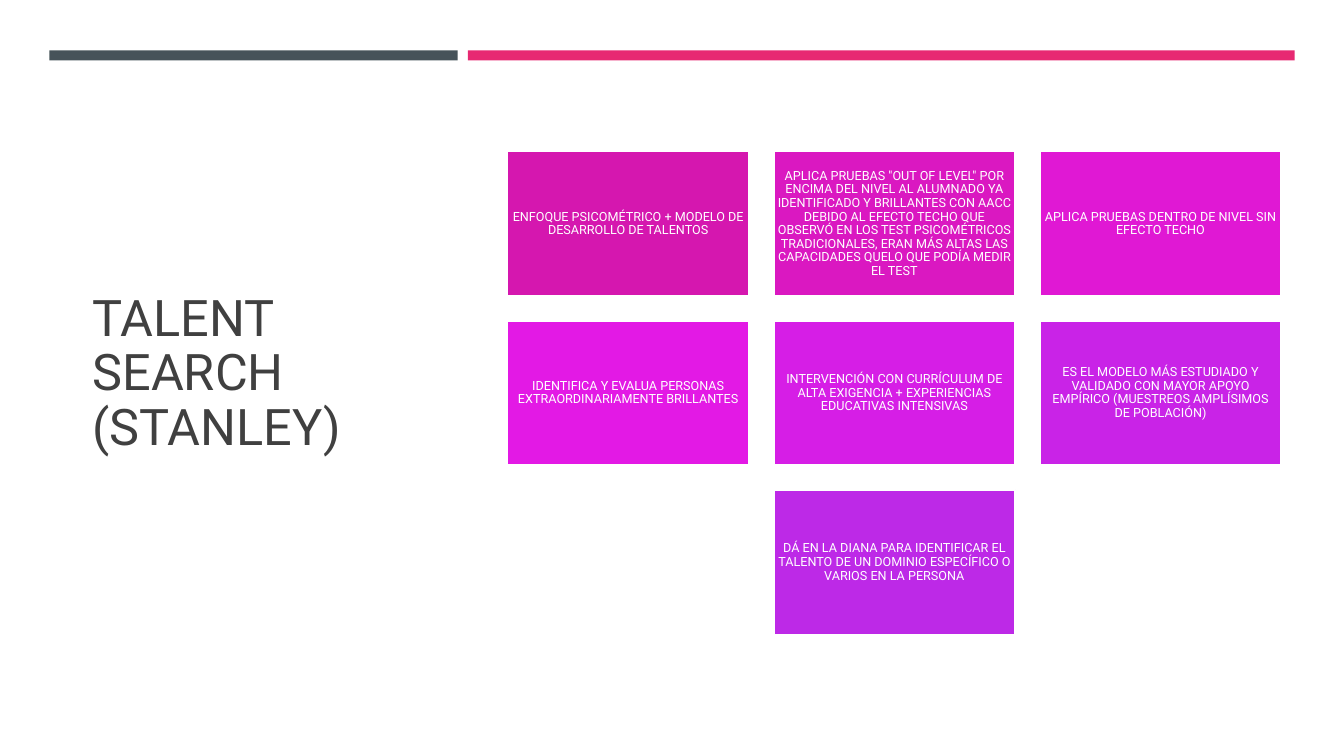
"""Build the Talent Search (Stanley) slide with its grid of key ideas."""
from dataclasses import dataclass

from pptx import Presentation
from pptx import util as u
from pptx.dml.color import RGBColor
from pptx.enum import shapes, text

SLIDE_WIDTH, SLIDE_HEIGHT = 13.33, 7.5
GRID_LEFT, GRID_TOP = 5.03, 1.5
CARD_WIDTH, CARD_HEIGHT = 2.4, 1.44
GAP = 0.24
COLUMN_STEP, ROW_STEP = CARD_WIDTH + GAP, CARD_HEIGHT + GAP
FONT = "Roboto"

WHITE = RGBColor(0xFF, 0xFF, 0xFF)
CHARCOAL = RGBColor(0x40, 0x40, 0x40)
SLATE = RGBColor(0x46, 0x53, 0x59)
PINK = RGBColor(0xE7, 0x29, 0x72)
MAGENTA = RGBColor(0xD5, 0x17, 0xAF)
FUCHSIA = RGBColor(0xDA, 0x18, 0xC1)
ORCHID = RGBColor(0xE0, 0x18, 0xD4)
NEON = RGBColor(0xE3, 0x19, 0xE5)
MAUVE = RGBColor(0xD6, 0x1E, 0xE6)
PURPLE = RGBColor(0xC9, 0x23, 0xE7)
VIOLET = RGBColor(0xBD, 0x29, 0xE7)


@dataclass(frozen=True)
class Band:
    """A header band; its left edge and width are in inches."""
    left: float
    width: float
    color: RGBColor


@dataclass(frozen=True)
class Idea:
    """A card placed by grid column and row."""
    column: int
    row: int
    color: RGBColor
    wording: str


BANDS = [Band(0.49, 4.05, SLATE), Band(4.64, 8.2, PINK)]

IDEAS = [
    Idea(0, 0, MAGENTA, "ENFOQUE PSICOMÉTRICO + MODELO DE DESARROLLO DE TALENTOS"),
    Idea(1, 0, FUCHSIA,
         'APLICA PRUEBAS "OUT OF LEVEL" POR ENCIMA DEL NIVEL AL ALUMNADO YA '
         "IDENTIFICADO Y BRILLANTES CON AACC DEBIDO AL EFECTO TECHO QUE OBSERVÓ "
         "EN LOS TEST PSICOMÉTRICOS TRADICIONALES, ERAN MÁS ALTAS LAS "
         "CAPACIDADES QUELO QUE PODÍA MEDIR EL TEST"),
    Idea(2, 0, ORCHID, "APLICA PRUEBAS DENTRO DE NIVEL SIN EFECTO TECHO"),
    Idea(0, 1, NEON, "IDENTIFICA Y EVALUA PERSONAS EXTRAORDINARIAMENTE BRILLANTES"),
    Idea(1, 1, MAUVE,
         "INTERVENCIÓN CON CURRÍCULUM DE ALTA EXIGENCIA + EXPERIENCIAS "
         "EDUCATIVAS INTENSIVAS"),
    Idea(2, 1, PURPLE,
         "ES EL MODELO MÁS ESTUDIADO Y VALIDADO CON MAYOR APOYO EMPÍRICO "
         "(MUESTREOS AMPLÍSIMOS DE POBLACIÓN)"),
    Idea(1, 2, VIOLET,
         "DÁ EN LA DIANA PARA IDENTIFICAR EL TALENTO DE UN DOMINIO ESPECÍFICO "
         "O VARIOS EN LA PERSONA"),
]


def add_block(slide, left: float, top: float, width: float, height: float,
              color: RGBColor):
    """Add a flat filled rectangle without an outline."""
    block = slide.shapes.add_shape(
        shapes.MSO_SHAPE.RECTANGLE,
        *map(u.Inches, (left, top, width, height)))
    block.shadow.inherit = False
    block.fill.solid()
    block.fill.fore_color.rgb = color
    block.line.fill.background()
    return block


def write(frame, wording: str, size: float, color: RGBColor, align) -> None:
    """Fill a text frame with one vertically centred paragraph."""
    frame.word_wrap = True
    frame.vertical_anchor = text.MSO_ANCHOR.MIDDLE
    paragraph = frame.paragraphs[0]
    paragraph.text = wording
    paragraph.alignment = align
    paragraph.line_spacing = 0.9
    paragraph.font.name = FONT
    paragraph.font.size = u.Pt(size)
    paragraph.font.color.rgb = color


def add_band(slide, band: Band) -> None:
    """Draw one header band."""
    add_block(slide, band.left, 0.5, band.width, 0.1, band.color)


def add_idea(slide, idea: Idea) -> None:
    """Draw one card with its white outline and wording."""
    card = add_block(slide, GRID_LEFT + idea.column * COLUMN_STEP,
                     GRID_TOP + idea.row * ROW_STEP,
                     CARD_WIDTH, CARD_HEIGHT, idea.color)
    card.line.color.rgb = WHITE
    card.line.width = u.Pt(1.75)
    frame = card.text_frame
    frame.margin_left = frame.margin_right = u.Inches(0.04)
    frame.margin_top = frame.margin_bottom = u.Inches(0.04)
    write(frame, idea.wording, 9, WHITE, text.PP_ALIGN.CENTER)


def main() -> None:
    """Compose and save the slide."""
    deck = Presentation()
    deck.slide_width = u.Inches(SLIDE_WIDTH)
    deck.slide_height = u.Inches(SLIDE_HEIGHT)
    slide = deck.slides.add_slide(deck.slide_layouts[6])
    slide.background.fill.solid()
    slide.background.fill.fore_color.rgb = WHITE

    title = slide.shapes.add_textbox(
        *map(u.Inches, (0.82, 1.14, 3.34, 5.15)))
    write(title.text_frame, "TALENT SEARCH (STANLEY)", 36, CHARCOAL,
          text.PP_ALIGN.LEFT)
    for band in BANDS:
        add_band(slide, band)
    for idea in IDEAS:
        add_idea(slide, idea)
    deck.save("out.pptx")


if __name__ == "__main__":
    main()
